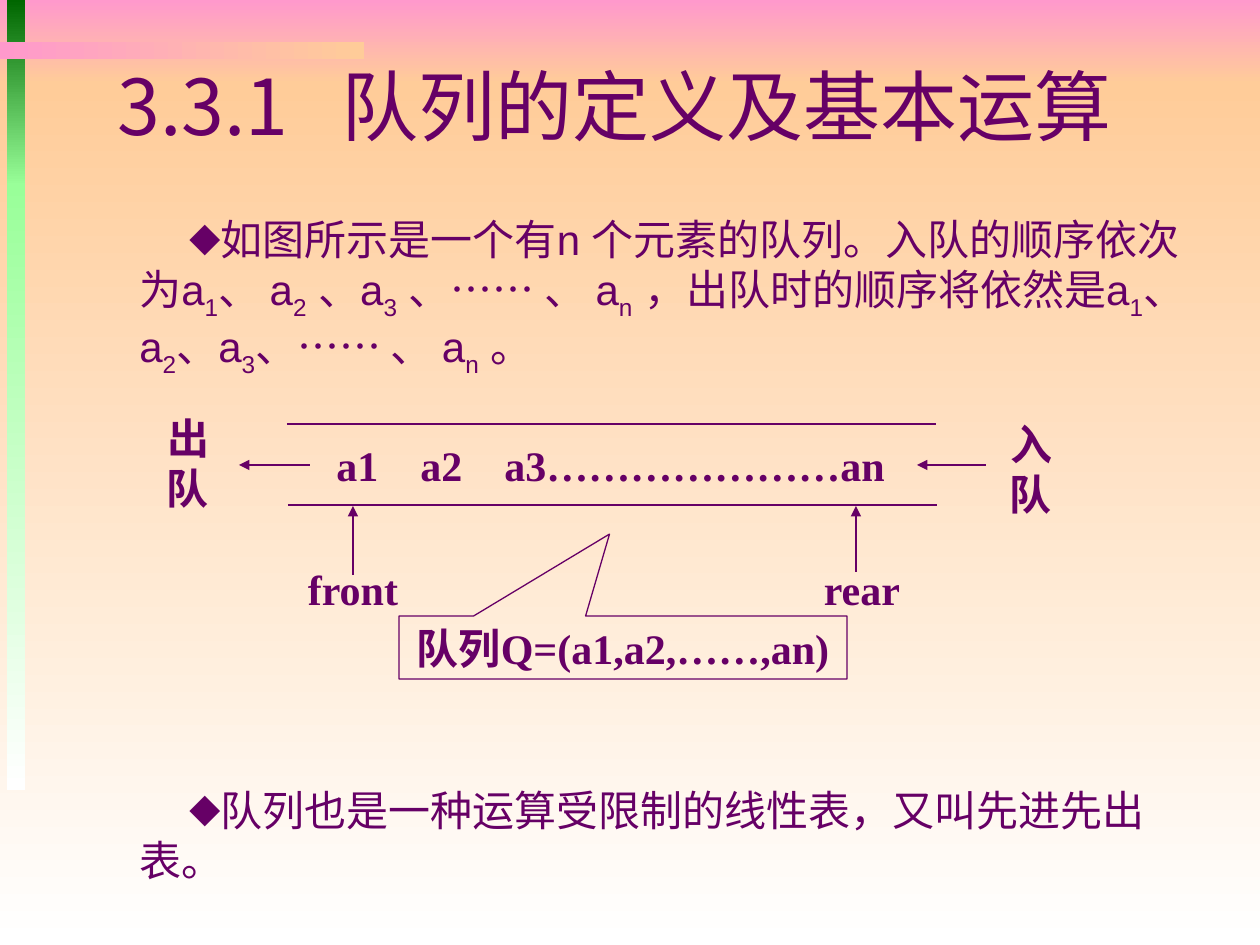
from lxml import etree
from pptx import Presentation
from pptx import util as u
from pptx.dml.color import RGBColor
from pptx.enum import shapes, text
from pptx.oxml.ns import qn

PX = 914400 // 126  # one px in EMU
COLORS = {"ink": "660066", "pink": "FF99CC", "peach": "FFCC99", "white": "FFFFFF",
          "green": "006600", "mint": "99FF99"}
CJK, SANS, SERIF = "Noto Sans CJK SC", "Arial", "Times New Roman"
DOWN, RIGHT = 270, 0

# left, top, width, height, first colour, last colour, direction
BANDS = [
    (0, 0, 1260, 84, "pink", "peach", DOWN),
    (0, 84, 1260, 861, "peach", "white", DOWN),
    (7, 0, 18, 186, "green", "mint", DOWN),
    (7, 184, 18, 606, "mint", "white", DOWN),
    (0, 42, 364, 17, "pink", "peach", RIGHT),
]
TITLE = "3.3.1\t队列的定义及基本运算"
# top, height, text; every second part between bars is a subscript
BULLETS = [
    (207, 190, "如图所示是一个有n 个元素的队列。入队的顺序依次为a|1|、 a|2| 、a|3| 、…… 、 a|n| "
               "，出队时的顺序将依然是a|1|、a|2|、a|3|、…… 、 a|n| 。"),
    (778, 123, "队列也是一种运算受限制的线性表，又叫先进先出表。"),
]
RAILS = [(287, 424, 936, 424), (288, 505, 937, 505)]
ARROWS = [(986, 465, 917, 465), (310, 465, 239, 465),
          (353, 575, 353, 506), (856, 572, 856, 506)]
ELEMENTS = (324, 433, 583, 63, "a1\ta2\ta3…………………an")
LABELS = [
    (977, 437, 108, 63, "入队"),
    (134, 431, 108, 63, "出队"),
    (295, 557, 116, 63, "front"),
    (811, 557, 102, 63, "rear"),
]
CALLOUT = (399, 616, 448, 63, "队列Q=(a1,a2,……,an)")


def rgb(name):
    return RGBColor.from_string(COLORS[name])


def emu(*lengths):
    return [n * PX for n in lengths]


def add_band(s, left, top, width, height, first, last, angle):
    sp = s.shapes.add_shape(shapes.MSO_SHAPE.RECTANGLE, *emu(left, top, width, height))
    sp.shadow.inherit = False
    sp.line.fill.background()
    sp.fill.gradient()
    sp.fill.gradient_angle = angle
    for stop, name, pos in zip(sp.fill.gradient_stops, (first, last), (0, 1)):
        stop.color.rgb = rgb(name)
        stop.position = pos


def add_line(s, ends, arrow=False):
    ln = s.shapes.add_connector(shapes.MSO_CONNECTOR.STRAIGHT, *emu(*ends))
    ln.line.color.rgb = rgb("ink")
    ln.line.width = u.Pt(0.75)
    if arrow:
        etree.SubElement(ln.line._get_or_add_ln(), qn("a:tailEnd"), type="triangle")
    etree.SubElement(ln._element.spPr, qn("a:effectLst"))


def add_box(s, left, top, width, height):
    sp = s.shapes.add_textbox(*emu(left, top, width, height))
    sp.text_frame.word_wrap = True
    return sp


def style_run(r, size, font, bold=False):
    r.font.size = u.Pt(size)
    r.font.name = font
    r.font.bold = bold
    r.font.color.rgb = rgb("ink")
    etree.SubElement(r._r.get_or_add_rPr(), qn("a:ea"), typeface=CJK)


def set_tabs(p, *stops):
    tabs = etree.SubElement(p._p.get_or_add_pPr(), qn("a:tabLst"))
    for pos in emu(*stops):
        etree.SubElement(tabs, qn("a:tab"), pos=str(pos), algn="l")


def add_bullet(s, top, height, content):
    p = add_box(s, 97, top, 1109, height).text_frame.paragraphs[0]
    pPr = p._p.get_or_add_pPr()
    pPr.set("marL", str(30 * PX))
    pPr.set("indent", str(50 * PX))
    pPr.set("hangingPunct", "0")
    color = etree.SubElement(pPr, qn("a:buClr"))
    etree.SubElement(color, qn("a:srgbClr"), val=COLORS["ink"])
    etree.SubElement(pPr, qn("a:buSzPct"), val="75000")
    etree.SubElement(pPr, qn("a:buFont"), typeface=CJK)
    etree.SubElement(pPr, qn("a:buChar"), char="◆")
    for i, part in enumerate(content.split("|")):
        r = p.add_run()
        r.text = part
        style_run(r, 24, SANS)
        if i % 2:
            r._r.get_or_add_rPr().set("baseline", "-25000")


def set_label(sp, content, align=text.PP_ALIGN.CENTER, wrap=False):
    """Write one bold diagram label, centred vertically."""
    tf = sp.text_frame
    tf.word_wrap = wrap
    tf.auto_size = text.MSO_AUTO_SIZE.SHAPE_TO_FIT_TEXT
    tf.vertical_anchor = text.MSO_ANCHOR.MIDDLE
    p = tf.paragraphs[0]
    p.text = content
    p.alignment = align
    for r in p.runs:
        style_run(r, 24, SERIF, bold=True)
    return p


def add_callout(s, left, top, width, height, content):
    sp = s.shapes.add_shape(shapes.MSO_SHAPE.RECTANGULAR_CALLOUT,
                            *emu(left, top, width, height))
    sp.shadow.inherit = False
    sp.fill.background()
    sp.line.color.rgb = rgb("ink")
    sp.line.width = u.Pt(0.75)
    sp.adjustments[0], sp.adjustments[1] = -0.03, -1.8
    set_label(sp, content)


def main():
    prs = Presentation()
    prs.slide_width, prs.slide_height = emu(1260, 945)
    s = prs.slides.add_slide(prs.slide_layouts[6])

    for band in BANDS:
        add_band(s, *band)

    tf = add_box(s, 105, 63, 1074, 94).text_frame
    tf.vertical_anchor = text.MSO_ANCHOR.BOTTOM
    p = tf.paragraphs[0]
    p.text = TITLE
    set_tabs(p, 224)
    for r in p.runs:
        style_run(r, 44, CJK)

    for bullet in BULLETS:
        add_bullet(s, *bullet)
    for ends in RAILS:
        add_line(s, ends)
    for ends in ARROWS:
        add_line(s, ends, arrow=True)

    *place, content = ELEMENTS
    p = set_label(add_box(s, *place), content, text.PP_ALIGN.LEFT, wrap=True)
    set_tabs(p, 84, 168)
    for *place, content in LABELS:
        set_label(add_box(s, *place), content)
    add_callout(s, *CALLOUT)

    prs.save("out.pptx")


if __name__ == "__main__":
    main()
